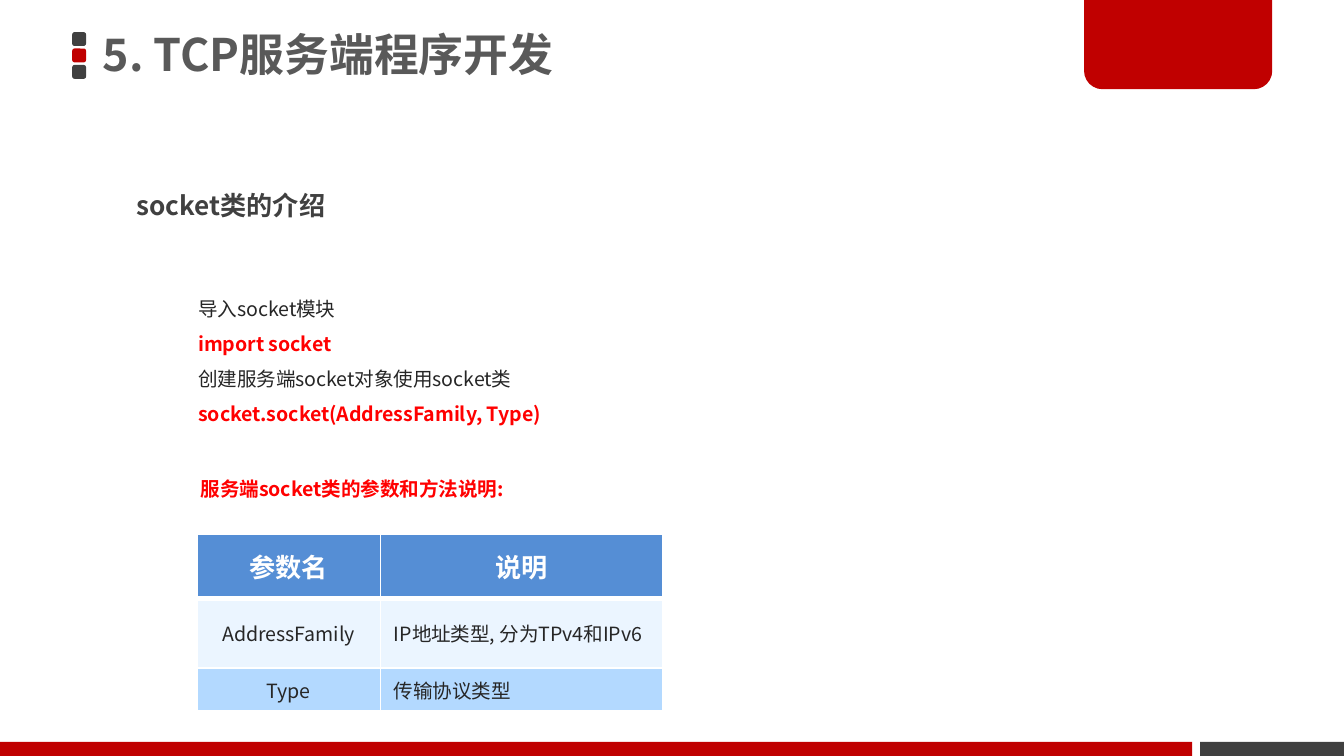
from dataclasses import dataclass

from lxml import etree
from pptx import Presentation
from pptx.dml.color import RGBColor
from pptx.enum.shapes import MSO_SHAPE as Geo
from pptx.enum.text import MSO_ANCHOR as Anchor, MSO_AUTO_SIZE as AutoSize, PP_ALIGN as Align
from pptx.oxml.ns import qn
from pptx.util import Pt


@dataclass(frozen=True)
class Theme:
    font: str = "Noto Sans CJK SC"
    red: str = "C00000"
    dark: str = "404040"
    title: str = "595959"
    body: str = "262626"
    accent: str = "FF0000"
    white: str = "FFFFFF"
    header: str = "558ED5"
    bands: tuple[str, ...] = ("EBF5FF", "B3D9FF")
    title_size: float = 24
    heading_size: float = 14
    body_size: float = 10.5


@dataclass(frozen=True)
class Box:
    left: float
    top: float
    width: float
    height: float

    def emu(self) -> tuple:
        return Pt(self.left), Pt(self.top), Pt(self.width), Pt(self.height)


@dataclass(frozen=True)
class Ornament:
    geometry: Geo
    box: Box
    color: str
    corners: tuple[float, ...] = ()


THEME = Theme()
SPACING = 1.5

BULLET_STACK = [
    Ornament(Geo.ROUNDED_RECTANGLE, Box(38.7, 17.2 + 8.8 * i, 7.4, 7.4), color, (0.167,))
    for i, color in enumerate((THEME.dark, THEME.red, THEME.dark))
]
ORNAMENTS = BULLET_STACK + [
    Ornament(Geo.RECTANGLE, Box(643, 397.5, 77, 7.5), THEME.dark),
    Ornament(Geo.ROUND_2_SAME_RECTANGLE, Box(580.8, -1.5, 100.8, 49.3), THEME.red, (0, 0.2)),
    Ornament(Geo.RECTANGLE, Box(0, 397.5, 638.7, 7.5), THEME.red),
]

INTRO_LINES = [
    ("导入socket模块", False),
    ("import socket", True),
    ("创建服务端socket对象使用socket类", False),
    ("socket.socket(AddressFamily, Type)", True),
]
PARAMETERS = [
    ("参数名", "说明"),
    ("AddressFamily", "IP地址类型, 分为TPv4和IPv6"),
    ("Type", "传输协议类型"),
]
COLUMN_WIDTHS = (98.5, 151)
ROW_HEIGHTS = (34.5, 23, 23)


def write(paragraph, text: str, *, size: float, color: str, bold: bool = False,
          align: Align = Align.LEFT, spacing=None) -> None:
    """Fill one paragraph with a formatted run."""
    paragraph.alignment = align
    paragraph.space_before = paragraph.space_after = Pt(0)
    if spacing is not None:
        paragraph.line_spacing = spacing
    run = paragraph.add_run()
    run.text = text
    font = run.font
    font.name, font.size, font.bold = THEME.font, Pt(size), bold
    font.color.rgb = RGBColor.from_string(color)
    latin = font._element.find(qn("a:latin"))
    east_asian = etree.Element(qn("a:ea"), typeface=THEME.font)
    latin.addnext(east_asian)


def place(shape, box: Box, anchor: Anchor = Anchor.TOP):
    """Move a text shape and return its prepared frame."""
    shape.left, shape.top, shape.width, shape.height = box.emu()
    frame = shape.text_frame
    frame.word_wrap = True
    frame.auto_size = AutoSize.NONE
    frame.vertical_anchor = anchor
    return frame


def draw_ornament(slide, item: Ornament) -> None:
    shape = slide.shapes.add_shape(item.geometry, *item.box.emu())
    for i, corner in enumerate(item.corners):
        shape.adjustments[i] = corner
    shape.shadow.inherit = False
    shape.fill.solid()
    shape.fill.fore_color.rgb = RGBColor.from_string(item.color)
    shape.line.fill.background()


def draw_caption(slide, box: Box, text: str, size: float, color: str) -> None:
    frame = place(slide.shapes.add_textbox(*box.emu()), box)
    write(frame.paragraphs[0], text, size=size, color=color, bold=True, spacing=SPACING)


def style_cell(cell, fill: str, top: float, bottom: float) -> None:
    """Give a cell white borders and a plain fill."""
    properties = cell._tc.get_or_add_tcPr()
    for side, width in (("L", 1), ("R", 1), ("T", top), ("B", bottom)):
        border = etree.SubElement(properties, qn(f"a:ln{side}"), w=str(Pt(width)))
        solid = etree.SubElement(border, qn("a:solidFill"))
        etree.SubElement(solid, qn("a:srgbClr"), val=THEME.white)
    cell.fill.solid()
    cell.fill.fore_color.rgb = RGBColor.from_string(fill)


def draw_parameters(slide, left: float, top: float) -> None:
    box = Box(left, top, sum(COLUMN_WIDTHS), sum(ROW_HEIGHTS))
    table = slide.shapes.add_table(len(PARAMETERS), len(COLUMN_WIDTHS), *box.emu()).table
    table.first_row = table.horz_banding = False
    for column, width in zip(table.columns, COLUMN_WIDTHS):
        column.width = Pt(width)
    for r, values in enumerate(PARAMETERS):
        table.rows[r].height = Pt(ROW_HEIGHTS[r])
        for c, text in enumerate(values):
            cell = table.cell(r, c)
            paragraph = cell.text_frame.paragraphs[0]
            if r == 0:
                style_cell(cell, THEME.header, top=1, bottom=3)
                write(paragraph, text, size=THEME.heading_size, color=THEME.white,
                      bold=True, align=Align.CENTER, spacing=Pt(24))
            else:
                style_cell(cell, THEME.bands[r - 1], top=3 if r == 1 else 1, bottom=1)
                cell.vertical_anchor = Anchor.MIDDLE
                write(paragraph, text, size=THEME.body_size, color=THEME.body,
                      align=Align.LEFT if c else Align.CENTER)


def main() -> None:
    deck = Presentation()
    deck.slide_width, deck.slide_height = Pt(720), Pt(405)
    slide = deck.slides.add_slide(deck.slide_layouts[1])

    # Frame of the page
    for item in ORNAMENTS:
        draw_ornament(slide, item)

    # Title
    title = place(slide.shapes.title, Box(49.7, -1.5, 424, 64), Anchor.MIDDLE)
    title.margin_left = title.margin_right = Pt(5.3)
    title.margin_top = title.margin_bottom = Pt(2.7)
    write(title.paragraphs[0], "5. TCP服务端程序开发", size=THEME.title_size,
          color=THEME.title, bold=True, spacing=0.9)

    # Section heading
    draw_caption(slide, Box(66, 89.3, 276.5, 32.4), "socket类的介绍",
                 THEME.heading_size, THEME.dark)

    # Import and creation steps
    steps = place(slide.placeholders[1], Box(99, 149, 227, 83.5))
    for i, (text, is_code) in enumerate(INTRO_LINES):
        paragraph = steps.paragraphs[0] if i == 0 else steps.add_paragraph()
        properties = paragraph._p.get_or_add_pPr()
        properties.set("marL", "0")
        properties.set("indent", "0")
        etree.SubElement(properties, qn("a:buNone"))
        write(paragraph, text, size=THEME.body_size, bold=is_code,
              color=THEME.accent if is_code else THEME.body, spacing=SPACING)

    # Parameter table and its caption
    draw_parameters(slide, 105.4, 286)
    draw_caption(slide, Box(100.5, 245.7, 227, 26.6), "服务端socket类的参数和方法说明:",
                 THEME.body_size, THEME.accent)

    deck.save("out.pptx")


if __name__ == "__main__":
    main()
